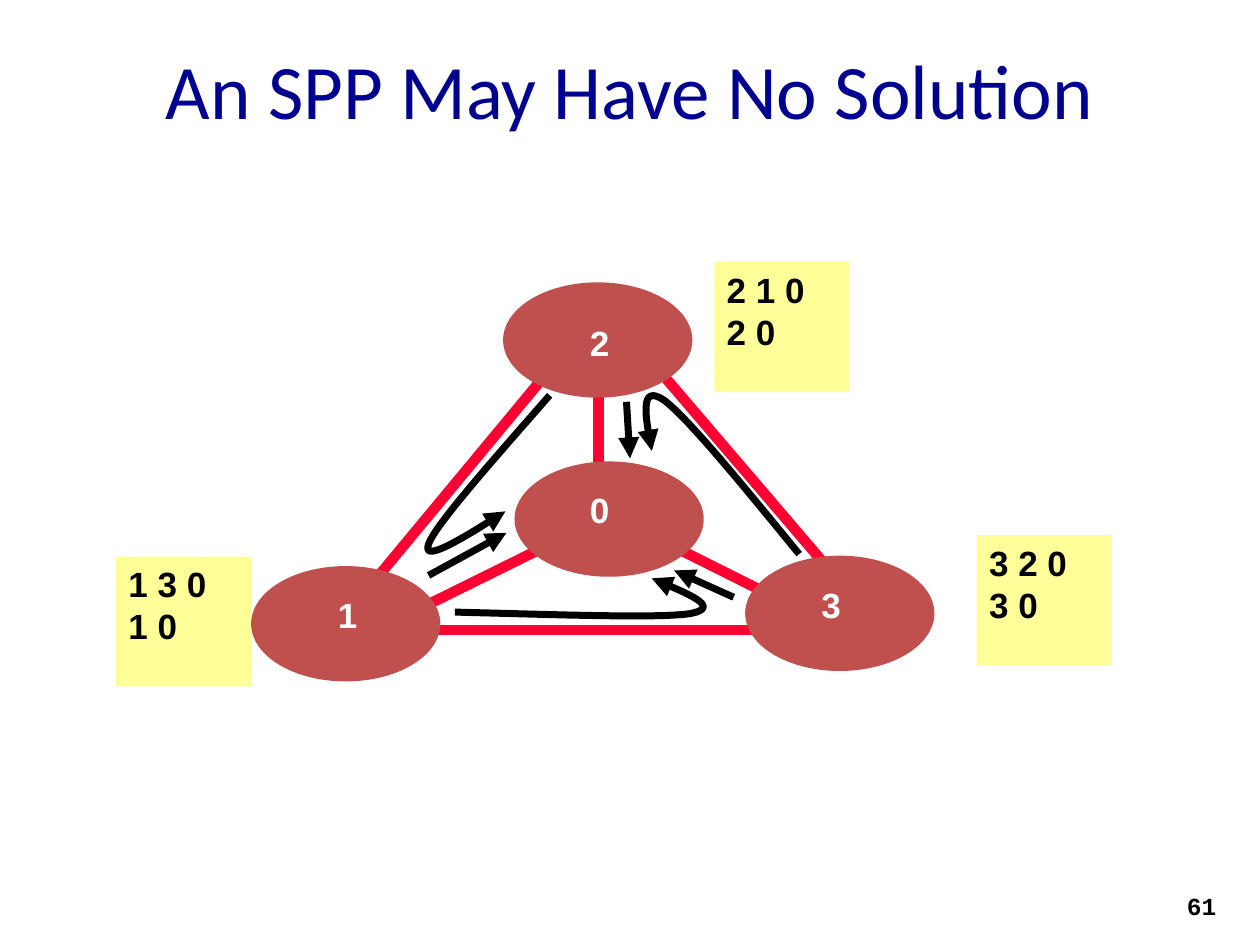
from lxml.etree import SubElement
from pptx import Presentation
from pptx.dml.color import RGBColor
from pptx.enum.shapes import MSO_CONNECTOR, MSO_SHAPE
from pptx.enum.text import MSO_ANCHOR, PP_ALIGN
from pptx.oxml.ns import qn
from pptx.util import Cm, Pt

NAVY = RGBColor(0x00, 0x00, 0x90)
RED = RGBColor(0xFF, 0x00, 0x33)
BRICK = RGBColor(0xC0, 0x50, 0x4D)
YELLOW = RGBColor(0xFF, 0xFF, 0x99)
BLACK = RGBColor(0x00, 0x00, 0x00)
WHITE = RGBColor(0xFF, 0xFF, 0xFF)

NODE_SIZE = (3.78, 2.29)
LABEL_SIZE = (1.07, 1.45)
PATHS_SIZE = (2.72, 2.62)
CURVE_STEPS = 16

LINKS = [
    ((15.24, 7.21), (10.36, 1.5)),
    ((9.3, 1.5), (4.22, 7.62)),
    ((9.73, 0.86), (9.73, 4.04)),
    ((9.52, 5.31), (6.12, 6.99)),
    ((13.74, 6.99), (11.2, 5.72)),
    ((15.65, 7.42), (4.22, 7.42)),
]
NODES = [
    ("2", (7.82, 0.43), (9.3, 1.07)),
    ("0", (8.05, 4.04), (9.3, 4.45)),
    ("3", (12.7, 5.94), (13.97, 6.35)),
    ("1", (2.74, 6.15), (4.22, 6.55)),
]
RANKED_PATHS = [
    (["2 1 0", "2 0"], (12.06, 0)),
    (["1 3 0", "1 0"], (0, 5.94)),
    (["3 2 0", "3 0"], (17.35, 5.51)),
]
DIRECT_ROUTES = [
    ((6.3, 6.32), (7.87, 5.46)),
    ((10.29, 2.82), (10.36, 3.96)),
    ((12.45, 6.76), (11.25, 6.22)),
]
DETOUR_ROUTES = [
    [(6.83, 7.06), (8.89, 7.11), (10.92, 7.19), (11.58, 7.09),
     (12.24, 6.96), (11.51, 6.68), (10.8, 6.38)],
    [(8.74, 2.69), (7.59, 4.01), (6.43, 5.31), (6.3, 5.69),
     (6.15, 6.1), (7.01, 5.56), (7.85, 5.03)],
    [(13.77, 5.89), (12.65, 4.52), (11.53, 3.15), (11.05, 2.79),
     (10.54, 2.44), (10.67, 3.12), (10.8, 3.81)],
]


def write_lines(shape, lines, font, size, color, bold=True, align=PP_ALIGN.LEFT,
                anchor=MSO_ANCHOR.TOP):
    frame = shape.text_frame
    frame.word_wrap = True
    frame.vertical_anchor = anchor
    for index, line in enumerate(lines):
        para = frame.paragraphs[0] if index == 0 else frame.add_paragraph()
        para.alignment = align
        span = para.add_run()
        span.text = line
        span.font.name = font
        span.font.size = Pt(size)
        span.font.bold = bold
        span.font.color.rgb = color


def style_line(shape, color, width, arrow=False):
    shape.line.color.rgb = color
    shape.line.width = Pt(width)
    if arrow:
        outline = shape._element.spPr.find(qn("a:ln"))
        SubElement(outline, qn("a:tailEnd"), type="triangle")


def add_straight(page, start, end, color, width, arrow=False):
    line = page.shapes.add_connector(MSO_CONNECTOR.STRAIGHT, *start, *end)
    style_line(line, color, width, arrow)
    SubElement(line._element.spPr, qn("a:effectLst"))


def bezier_points(controls):
    for step in range(1, CURVE_STEPS + 1):
        t = step / CURVE_STEPS
        weights = ((1 - t) ** 3, 3 * t * (1 - t) ** 2, 3 * t * t * (1 - t), t ** 3)
        yield tuple(round(sum(w * point[axis] for w, point in zip(weights, controls)))
                    for axis in (0, 1))


def add_curve(page, controls):
    builder = page.shapes.build_freeform(*controls[0])
    for first in range(0, len(controls) - 1, 3):
        builder.add_line_segments(bezier_points(controls[first:first + 4]), close=False)
    curve = builder.convert_to_shape()
    curve.shadow.inherit = False
    curve.fill.background()
    style_line(curve, BLACK, 4, arrow=True)


def add_filled(page, kind, place, size, color):
    shape = page.shapes.add_shape(kind, *place, *map(Cm, size))
    shape.shadow.inherit = False
    shape.fill.solid()
    shape.fill.fore_color.rgb = color
    shape.line.fill.background()
    return shape


def draw_network(page, left, top):
    def at(point):
        return left + Cm(point[0]), top + Cm(point[1])

    for start, end in LINKS:
        add_straight(page, at(start), at(end), RED, 6)
    for name, place, label_place in NODES:
        node = add_filled(page, MSO_SHAPE.OVAL, at(place), NODE_SIZE, BRICK)
        style_line(node, BRICK, 1)
        label = page.shapes.add_textbox(*at(label_place), *map(Cm, LABEL_SIZE))
        write_lines(label, [name], "Arial", 20, WHITE)
    for lines, place in RANKED_PATHS:
        note = add_filled(page, MSO_SHAPE.RECTANGLE, at(place), PATHS_SIZE, YELLOW)
        write_lines(note, lines, "Arial", 20, BLACK)
    for start, end in DIRECT_ROUTES:
        add_straight(page, at(start), at(end), BLACK, 4, arrow=True)
    for controls in DETOUR_ROUTES:
        add_curve(page, [at(point) for point in controls])


def draw_title(page, left, top, width, height):
    title = page.shapes.add_textbox(left, top, width, height)
    write_lines(title, ["An SPP May Have No Solution"], "Calibri", 44, NAVY,
                bold=False, align=PP_ALIGN.CENTER, anchor=MSO_ANCHOR.MIDDLE)


def draw_page_number(page, left, top, width, height):
    number = page.shapes.add_textbox(left, top, width, height)
    write_lines(number, ["61"], "Courier New", 14, BLACK, align=PP_ALIGN.RIGHT)


def main():
    deck = Presentation()
    deck.slide_width, deck.slide_height = Cm(25.4), Cm(19.05)
    page = deck.slides.add_slide(deck.slide_layouts[6])
    draw_title(page, Cm(1.27), Cm(0.2), Cm(22.86), Cm(3.18))
    draw_network(page, Cm(2.34), Cm(5.28))
    draw_page_number(page, Cm(18.85), Cm(17.83), Cm(5.92), Cm(1.02))
    deck.save("out.pptx")


if __name__ == "__main__":
    main()
